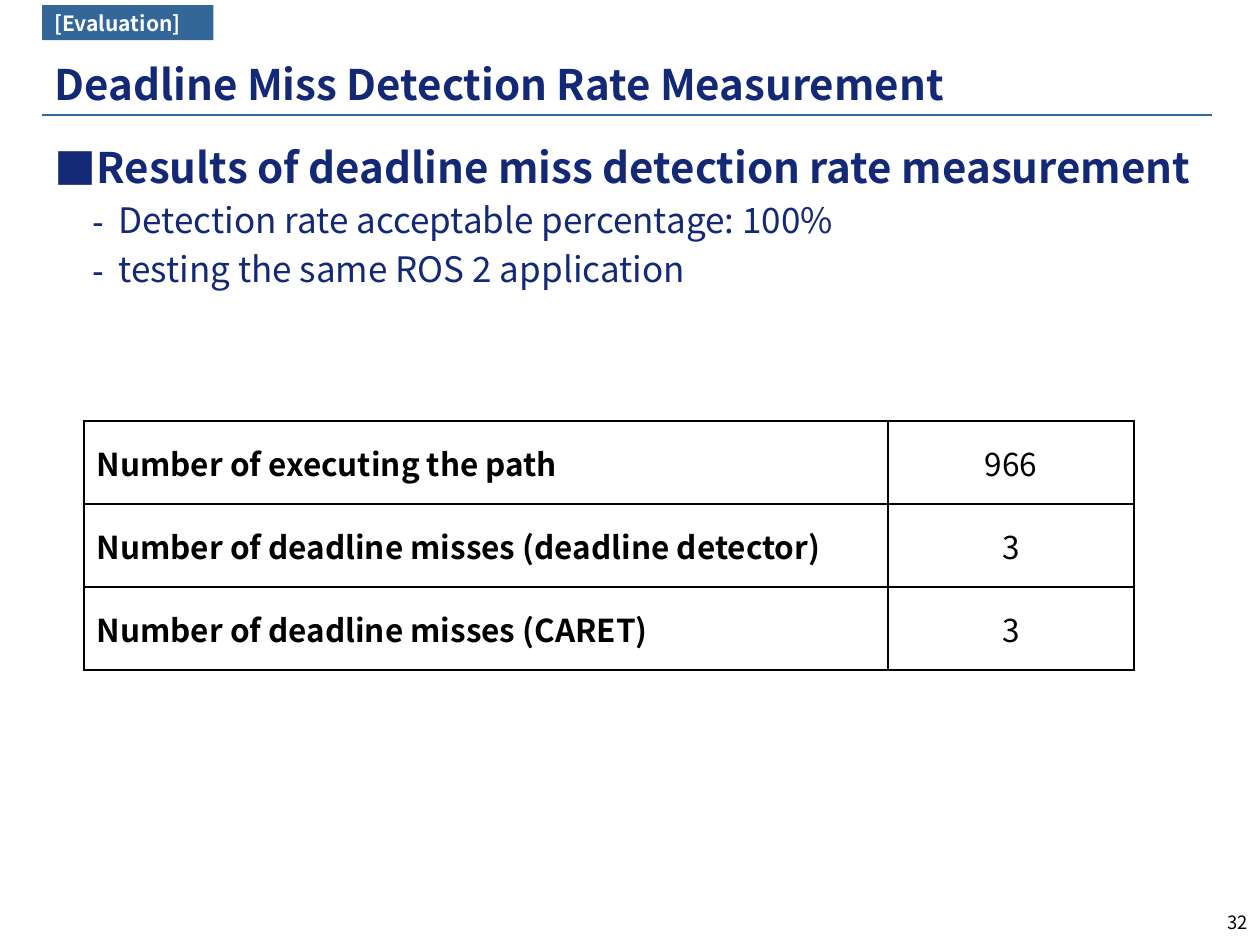
from lxml.etree import SubElement
from pptx import Presentation
from pptx.dml.color import RGBColor
from pptx.enum.shapes import MSO_CONNECTOR, MSO_SHAPE
from pptx.enum.text import MSO_ANCHOR, PP_ALIGN
from pptx.oxml.ns import qn
from pptx.util import Pt

# Content
TAG = "[Evaluation]"
TITLE = "Deadline Miss Detection Rate Measurement"
BODY = [
    (0, "Results of deadline miss detection rate measurement"),
    (1, "Detection rate acceptable percentage: 100%"),
    (1, "testing the same ROS 2 application"),
]
RESULTS = [
    ("Number of executing the path", "966"),
    ("Number of deadline misses (deadline detector)", "3"),
    ("Number of deadline misses (CARET)", "3"),
]
PAGE = "32"

# Style, lengths in points
FONT = "Noto Sans CJK JP"
COLORS = {"navy": "142976", "blue": "336699", "black": "000000", "white": "FFFFFF"}
LEVELS = [
    dict(char="■", size=24, bold=True, left=20.5, hang=20.5),
    dict(char="⁃", size=20, bold=False, left=36.5, hang=15),
]
LEFT = 24
COLUMNS = (459.5, 140.5)
ROW_HEIGHT = 47.5


def rgb(name):
    return RGBColor.from_string(COLORS[name])


def place(sp, left, top, width, height):
    sp.left, sp.top, sp.width, sp.height = map(Pt, (left, top, width, height))


def write(p, text, size, color="black", bold=False, align=PP_ALIGN.LEFT, before=0):
    p.alignment = align
    p.space_before = Pt(before)
    r = p.add_run()
    r.text = text
    r.font.name, r.font.size, r.font.bold = FONT, Pt(size), bold
    r.font.color.rgb = rgb(color)
    SubElement(r.font._element, qn("a:ea"), typeface=FONT)


def add_bullet(p, char, left, hang):
    pPr = p._p.get_or_add_pPr()
    pPr.set("marL", str(Pt(left)))
    pPr.set("indent", str(-Pt(hang)))
    SubElement(pPr, qn("a:buFont"), typeface=FONT)
    SubElement(pPr, qn("a:buChar"), char=char)


def add_borders(cell):
    tcPr = cell._tc.get_or_add_tcPr()
    for i, side in enumerate(("lnL", "lnR", "lnT", "lnB")):
        ln = tcPr.makeelement(qn("a:" + side), {"w": str(Pt(1))})
        fill = SubElement(ln, qn("a:solidFill"))
        SubElement(fill, qn("a:srgbClr"), val=COLORS["black"])
        tcPr.insert(i, ln)


prs = Presentation()
prs.slide_width, prs.slide_height = Pt(720), Pt(540)
slide = prs.slides.add_slide(prs.slide_layouts[1])
shapes = slide.shapes

# Title and the rule below it
sp = shapes.title
place(sp, LEFT, 30, 648, 36)
sp.text_frame.vertical_anchor = MSO_ANCHOR.MIDDLE
write(sp.text_frame.paragraphs[0], TITLE, 24, "navy", bold=True)

rule = shapes.add_connector(MSO_CONNECTOR.STRAIGHT, Pt(LEFT), Pt(65.75), Pt(692.5), Pt(65.75))
rule.line.color.rgb = rgb("blue")
rule.line.width = Pt(1.5)
SubElement(rule._element.spPr, qn("a:effectLst"))

# Bulleted list
sp = slide.placeholders[1]
place(sp, LEFT, 77, 680, 359)
tf = sp.text_frame
for i, (level, text) in enumerate(BODY):
    p = tf.add_paragraph() if i else tf.paragraphs[0]
    p.level = level
    style = LEVELS[level]
    write(p, text, style["size"], "navy", style["bold"], before=0.2 * style["size"])
    add_bullet(p, style["char"], style["left"], style["hang"])

# Results table
frame = shapes.add_table(len(RESULTS), len(COLUMNS), Pt(48), Pt(240.5),
                         Pt(sum(COLUMNS)), Pt(ROW_HEIGHT * len(RESULTS)))
table = frame.table
for column, width in zip(table.columns, COLUMNS):
    column.width = Pt(width)
for row, values in zip(table.rows, RESULTS):
    row.height = Pt(ROW_HEIGHT)
    for i, (cell, text) in enumerate(zip(row.cells, values)):
        cell.vertical_anchor = MSO_ANCHOR.MIDDLE
        cell.fill.solid()
        cell.fill.fore_color.rgb = rgb("white")
        write(cell.text_frame.paragraphs[0], text, 18, bold=i == 0,
              align=PP_ALIGN.CENTER if i else PP_ALIGN.LEFT)
        add_borders(cell)

# Section tag
sp = shapes.add_shape(MSO_SHAPE.RECTANGLE, Pt(LEFT), Pt(3), Pt(98), Pt(20))
sp.shadow.inherit = False
sp.fill.solid()
sp.fill.fore_color.rgb = rgb("blue")
sp.line.fill.background()
sp.text_frame.vertical_anchor = MSO_ANCHOR.MIDDLE
write(sp.text_frame.paragraphs[0], TAG, 12, "white", bold=True)

# Page number
sp = shapes.add_textbox(Pt(672.5), Pt(517), Pt(47.5), Pt(23))
sp.text_frame.word_wrap = True
write(sp.text_frame.paragraphs[0], PAGE, 10.5, align=PP_ALIGN.RIGHT)

prs.save("out.pptx")
